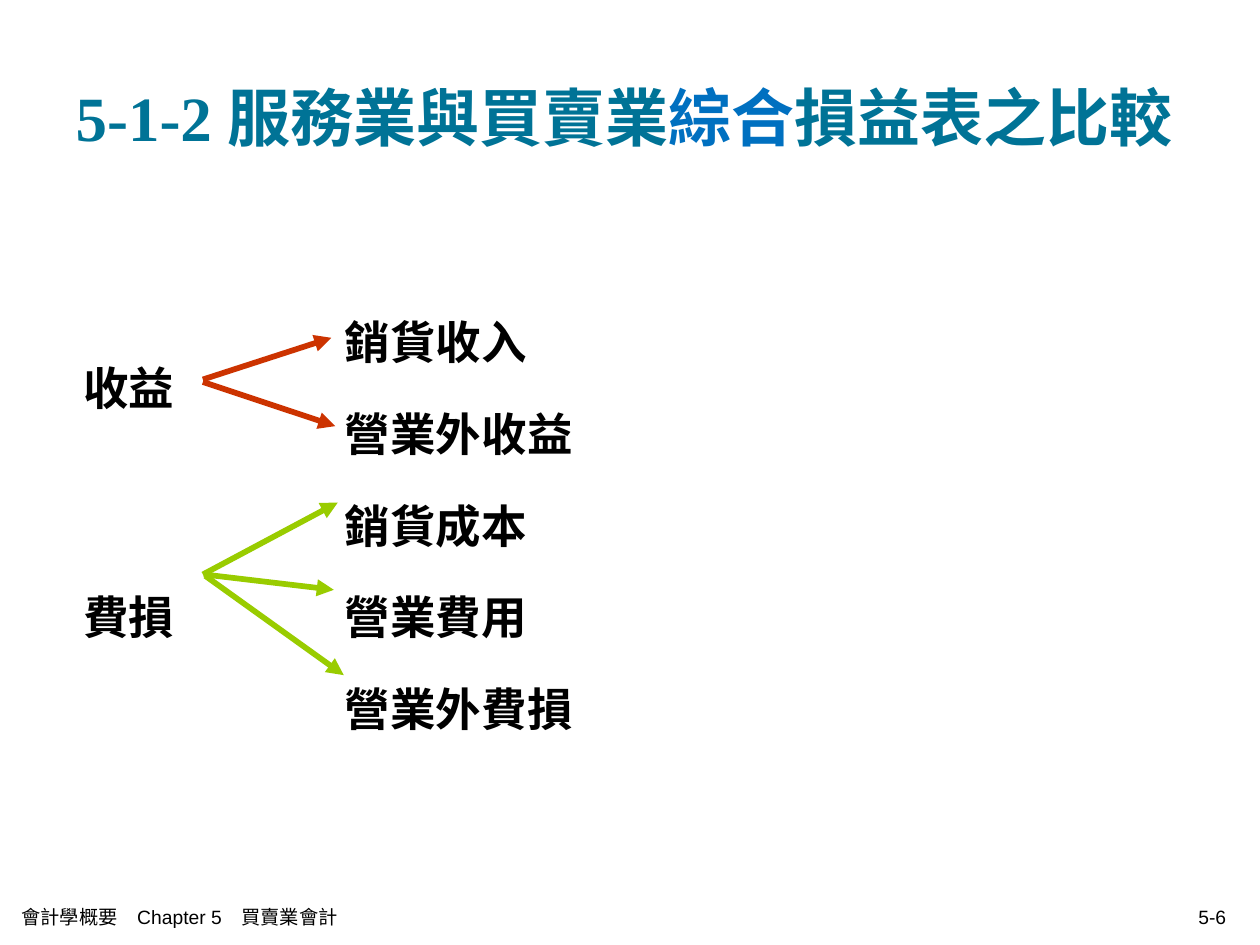
import pptx
import pptx.util
import pptx.dml.color
import pptx.enum.shapes
import pptx.enum.text
import pptx.oxml.ns
from lxml import etree

Cm = pptx.util.Cm
Pt = pptx.util.Pt
RGB = pptx.dml.color.RGBColor.from_string
ALIGN = pptx.enum.text.PP_ALIGN
MIDDLE = pptx.enum.text.MSO_ANCHOR.MIDDLE
qn = pptx.oxml.ns.qn

COLORS = {
    "title": "007396",
    "accent": "0070C0",
    "text": "000000",
    "income": "CC3300",
    "expense": "99CC00",
}


def add_text(p, text, size=26, font="Times New Roman", color="text",
             bold=True, align=ALIGN.LEFT):
    p.alignment = align
    r = p.add_run()
    r.text = text
    r.font.size = Pt(size)
    r.font.name = font
    r.font.bold = bold
    r.font.color.rgb = RGB(COLORS[color])


prs = pptx.Presentation()
prs.slide_width = Cm(25.4)
prs.slide_height = Cm(19.05)
s = prs.slides.add_slide(prs.slide_layouts[5])

sp = s.shapes.title
sp.left, sp.top, sp.width, sp.height = Cm(1.27), Cm(0.76), Cm(22.86), Cm(3.18)
tf = sp.text_frame
tf.word_wrap = True
tf.auto_size = pptx.enum.text.MSO_AUTO_SIZE.NONE
tf.vertical_anchor = MIDDLE
for text, color in [("5-1-2 服務業與買賣業", "title"), ("綜合", "accent"),
                    ("損益表之比較", "title")]:
    add_text(tf.paragraphs[0], text, size=36, color=color)

groups = [
    ("收益", ["銷貨收入", "營業外收益"]),
    ("費損", ["銷貨成本", "營業費用", "營業外費損"]),
]
row_count = sum(len(items) for _, items in groups)
gf = s.shapes.add_table(row_count, 2, Cm(1.42), Cm(5.79), Cm(12.27), Cm(7.87))
tbl = gf.table
tbl.first_row = False
tbl.horz_banding = False
style_id = tbl._tbl.tblPr.find(qn("a:tableStyleId"))
style_id.text = "{2D5ABB26-0587-4C30-8999-92F81FD0307C}"
tbl.columns[0].width = Cm(5.28)
tbl.columns[1].width = Cm(6.99)

row = 0
for group, items in groups:
    tbl.cell(row, 0).merge(tbl.cell(row + len(items) - 1, 0))
    add_text(tbl.cell(row, 0).text_frame.paragraphs[0], group)
    for item in items:
        add_text(tbl.cell(row, 1).text_frame.paragraphs[0], item)
        row += 1
for cell in tbl.iter_cells():
    cell.fill.background()
    cell.vertical_anchor = MIDDLE
    cell.text_frame.paragraphs[0].line_spacing = 1.2

arrows = [
    ("income", 4.09, 7.65, 6.68, 6.81),
    ("income", 4.09, 7.7, 6.76, 8.59),
    ("expense", 4.09, 11.58, 6.81, 10.13),
    ("expense", 4.11, 11.58, 6.73, 11.89),
    ("expense", 4.14, 11.61, 6.93, 13.61),
]
for color, x1, y1, x2, y2 in arrows:
    c = s.shapes.add_connector(pptx.enum.shapes.MSO_CONNECTOR.STRAIGHT,
                               Cm(x1), Cm(y1), Cm(x2), Cm(y2))
    c.line.color.rgb = RGB(COLORS[color])
    c.line.width = Pt(3.25)
    etree.SubElement(c.line._get_or_add_ln(), qn("a:tailEnd"), type="triangle")
    etree.SubElement(c._element.spPr, qn("a:effectLst"))

footers = [
    ("會計學概要　Chapter 5　買賣業會計", 0.18, 12.95, ALIGN.LEFT),
    ("5-6", 19.05, 5.92, ALIGN.RIGHT),
]
for text, left, width, align in footers:
    sp = s.shapes.add_textbox(Cm(left), Cm(18.06), Cm(width), Cm(0.84))
    tf = sp.text_frame
    tf.word_wrap = True
    tf.vertical_anchor = MIDDLE
    add_text(tf.paragraphs[0], text, size=11, font="Arial", bold=False,
             align=align)

prs.save("out.pptx")
